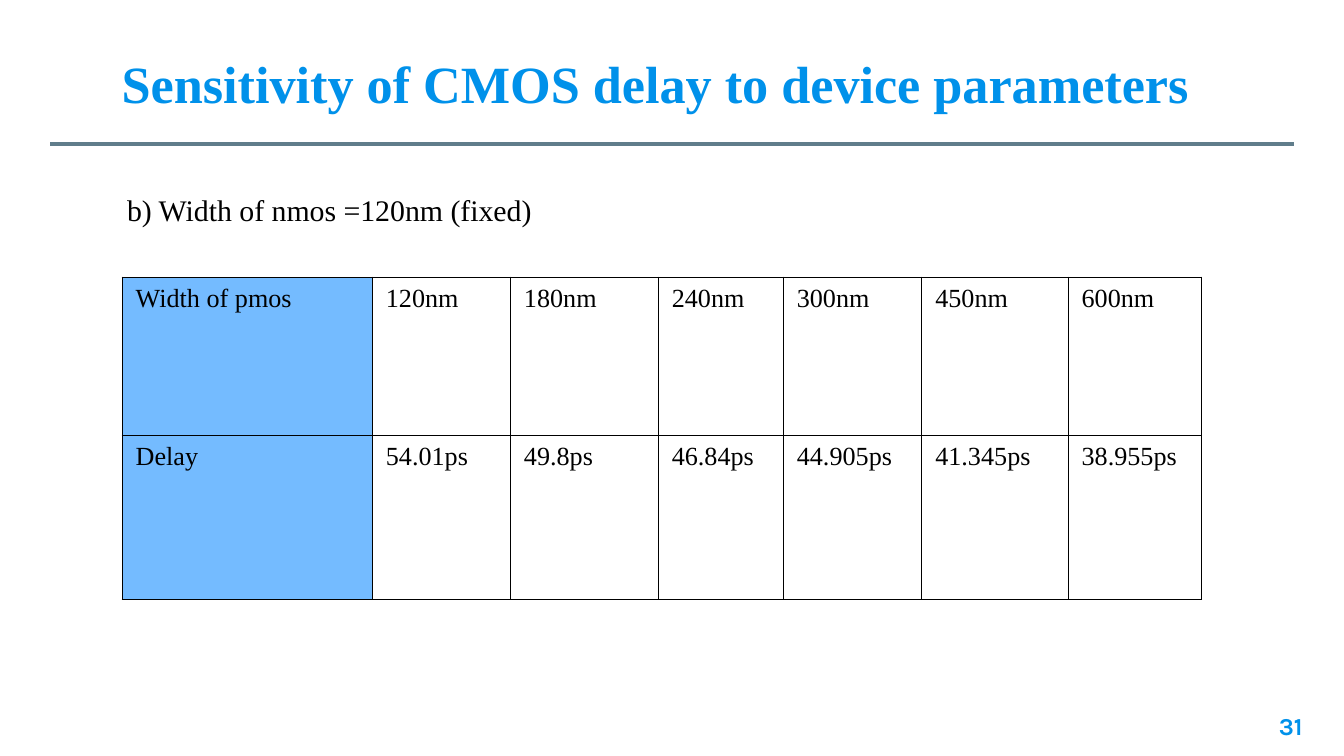
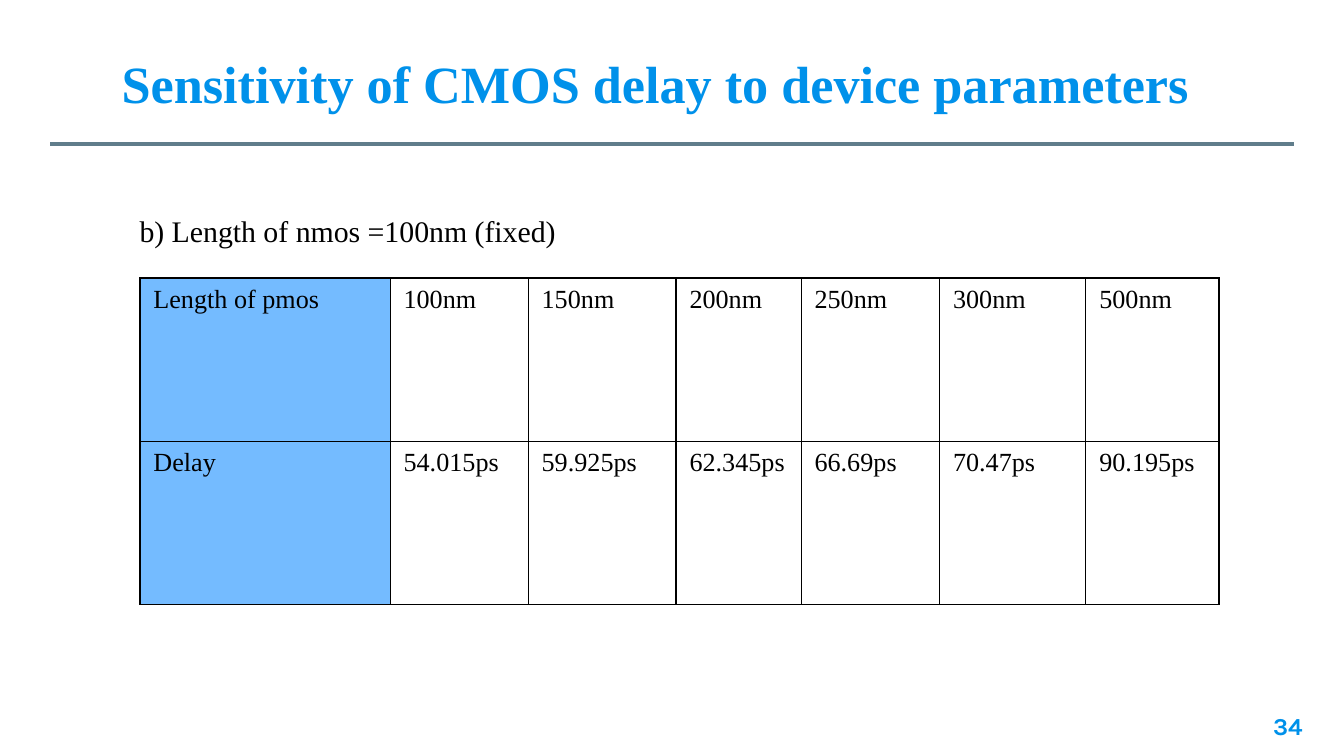
from dataclasses import dataclass

from lxml.etree import SubElement
from pptx import Presentation
from pptx.dml.color import RGBColor
from pptx.enum.shapes import MSO_CONNECTOR as Connector
from pptx.enum.text import MSO_ANCHOR as Anchor, MSO_AUTO_SIZE as AutoSize, PP_ALIGN as Align
from pptx.oxml.ns import qn
from pptx.util import Pt

BLUE = RGBColor(0x00, 0x91, 0xEA)
SLATE = RGBColor(0x60, 0x7D, 0x8B)
LABEL_FILL = RGBColor(0x74, 0xBB, 0xFF)
BLACK = RGBColor(0x00, 0x00, 0x00)
WHITE = RGBColor(0xFF, 0xFF, 0xFF)

SERIF = "Times New Roman"
TITLE_FONT = {"name": SERIF, "size": Pt(28), "bold": True, "color": BLUE}
CONDITION_FONT = {"name": SERIF, "size": Pt(16), "bold": False, "color": BLACK}
CELL_FONT = {"name": SERIF, "size": Pt(14), "bold": False, "color": BLACK}
NUMBER_FONT = {"name": "Karla", "size": Pt(13), "bold": True, "color": BLUE}

SLIDE_SIZE = (720, 405)
TITLE = "Sensitivity of CMOS delay to device parameters"
TITLE_BOX = (23, 23.8, 682, 41)
TITLE_INDENT = 42.2
RULE_LEFT, RULE_RIGHT, RULE_TOP = 26.8, 693.2, 77
NUMBER_BOX = (661.7, 373.7, 43.2, 31)
COLUMN_WIDTHS = (134, 74, 79.2, 67, 74.2, 78.4, 71.3)
BORDER_WIDTH = 0.75

Box = tuple[float, float, float, float]


@dataclass(frozen=True)
class DelayTable:
    left: float
    top: float
    row_heights: tuple[float, ...]
    rows: tuple[tuple[str, ...], ...]


@dataclass(frozen=True)
class DelaySlide:
    number: str
    condition: str
    condition_box: Box
    table: DelayTable


SLIDES = (
    DelaySlide(
        "31", "b) Width of nmos =120nm (fixed)", (61, 99.4, 673, 26.6),
        DelayTable(65.5, 148.5, (85, 87.5), (
            ("Width of pmos", "120nm", "180nm", "240nm", "300nm", "450nm", "600nm"),
            ("Delay", "54.01ps", "49.8ps", "46.84ps", "44.905ps", "41.345ps", "38.955ps"),
        )),
    ),
    DelaySlide(
        "34", "b) Length of nmos =100nm (fixed)", (67.7, 110.2, 673, 26.6),
        DelayTable(75, 149, (87.5, 87.5), (
            ("Length of pmos", "100nm", "150nm", "200nm", "250nm", "300nm", "500nm"),
            ("Delay", "54.015ps", "59.925ps", "62.345ps", "66.69ps", "70.47ps", "90.195ps"),
        )),
    ),
)


def write(text_frame, text: str, font: dict, align=Align.LEFT) -> None:
    paragraph = text_frame.paragraphs[0]
    paragraph.alignment = align
    run = paragraph.add_run()
    run.text = text
    for name, value in font.items():
        if name == "color":
            run.font.color.rgb = value
        else:
            setattr(run.font, name, value)


def set_frame(text_frame, **settings) -> None:
    """Apply the common frame settings, then any that differ."""
    common = {"word_wrap": True, "auto_size": AutoSize.NONE, "vertical_anchor": Anchor.TOP}
    for name, value in (common | settings).items():
        setattr(text_frame, name, value)


def add_title(slide) -> None:
    title = slide.shapes.title
    for name, value in zip(("left", "top", "width", "height"), TITLE_BOX):
        setattr(title, name, Pt(value))
    set_frame(title.text_frame, margin_left=Pt(TITLE_INDENT))
    write(title.text_frame, TITLE, TITLE_FONT)


def add_rule(slide) -> None:
    rule = slide.shapes.add_connector(
        Connector.STRAIGHT, Pt(RULE_LEFT), Pt(RULE_TOP), Pt(RULE_RIGHT), Pt(RULE_TOP))
    rule.line.color.rgb = SLATE
    rule.line.width = Pt(2.25)
    SubElement(rule.element.spPr, qn("a:effectLst"))


def add_text(slide, box: Box, text: str, font: dict, align=Align.LEFT, margin: float | None = None) -> None:
    frame = slide.shapes.add_textbox(*map(Pt, box)).text_frame
    sides = ("left", "top", "right", "bottom") if margin else ()
    set_frame(frame, **{f"margin_{side}": Pt(margin) for side in sides})
    write(frame, text, font, align)


def add_borders(cell) -> None:
    properties = cell._tc.get_or_add_tcPr()
    for side in ("lnL", "lnR", "lnT", "lnB"):
        line = SubElement(properties, qn(f"a:{side}"), w=str(Pt(BORDER_WIDTH)))
        fill = SubElement(line, qn("a:solidFill"))
        SubElement(fill, qn("a:srgbClr"), val=str(BLACK))


def add_delay_table(slide, spec_table: DelayTable) -> None:
    table = slide.shapes.add_table(
        len(spec_table.rows), len(COLUMN_WIDTHS), Pt(spec_table.left), Pt(spec_table.top),
        Pt(sum(COLUMN_WIDTHS)), Pt(sum(spec_table.row_heights))).table
    table.first_row = table.horz_banding = False
    table.first_col = True
    for column, width in zip(table.columns, COLUMN_WIDTHS):
        column.width = Pt(width)
    for row, height, texts in zip(table.rows, spec_table.row_heights, spec_table.rows):
        row.height = Pt(height)
        for index, (cell, text) in enumerate(zip(row.cells, texts)):
            add_borders(cell)
            if index == 0:
                cell.fill.solid()
                cell.fill.fore_color.rgb = LABEL_FILL
            else:
                cell.fill.background()
            write(cell.text_frame, text, CELL_FONT)


def add_delay_slide(presentation, content: DelaySlide) -> None:
    title_only = presentation.slide_layouts[5]
    slide = presentation.slides.add_slide(title_only)
    slide.background.fill.solid()
    slide.background.fill.fore_color.rgb = WHITE
    add_text(slide, NUMBER_BOX, content.number, NUMBER_FONT, Align.RIGHT, margin=7.2)
    add_rule(slide)
    add_title(slide)
    add_text(slide, content.condition_box, content.condition, CONDITION_FONT)
    add_delay_table(slide, content.table)


def main() -> None:
    presentation = Presentation()
    presentation.slide_width, presentation.slide_height = map(Pt, SLIDE_SIZE)
    for content in SLIDES:
        add_delay_slide(presentation, content)
    presentation.save("out.pptx")


if __name__ == "__main__":
    main()
